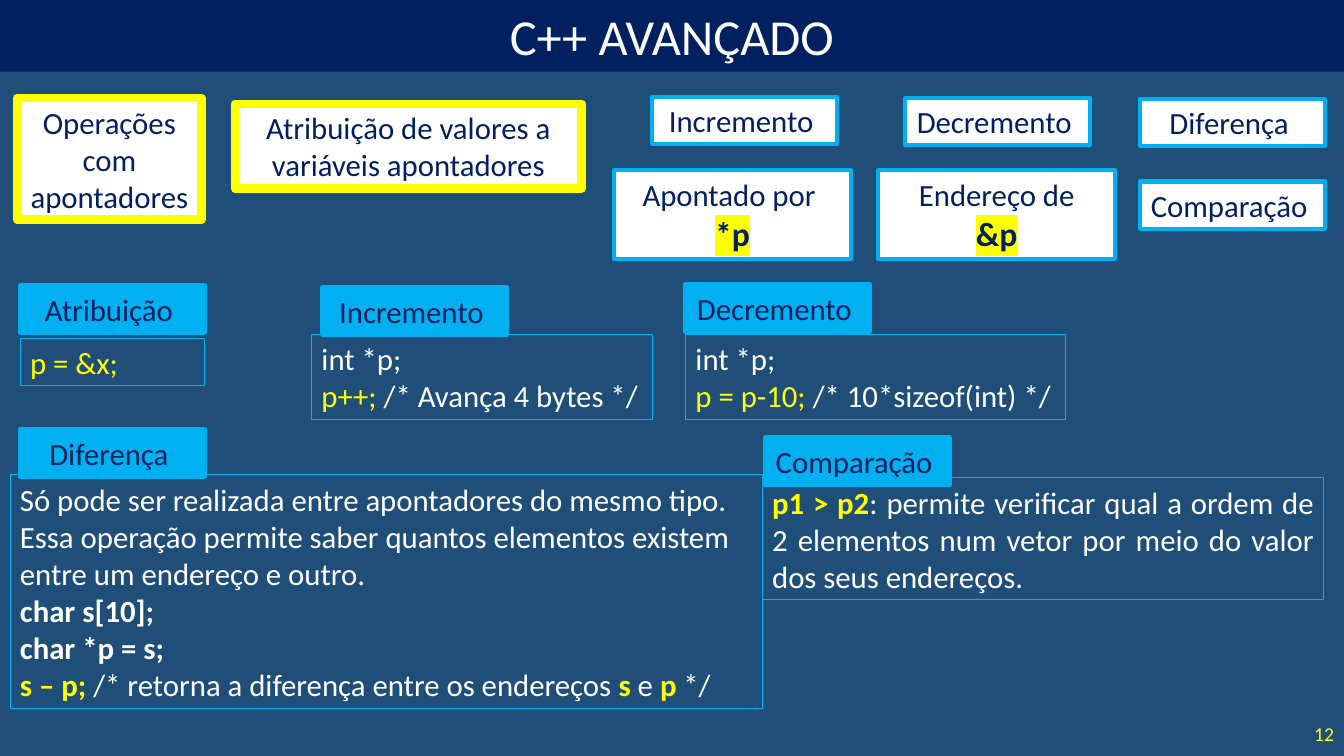
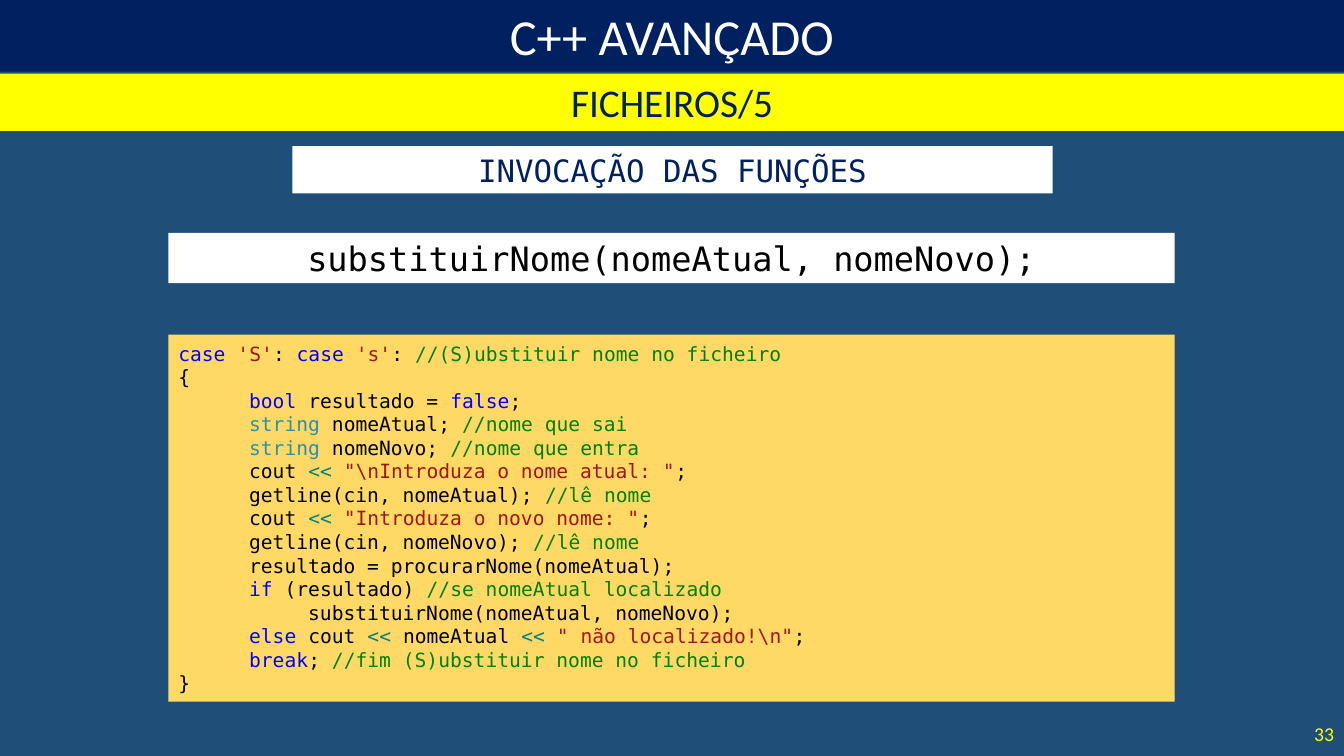
from lxml import etree
from pptx import Presentation
from pptx.dml.color import RGBColor
from pptx.enum import shapes, text
from pptx.oxml import ns
from pptx.util import Inches, Pt

# Shared colours, fonts and sizes
BACKGROUND = RGBColor(0x1F, 0x4E, 0x79)
NAVY = RGBColor(0x00, 0x20, 0x60)
YELLOW = RGBColor(0xFF, 0xFF, 0x00)
CYAN = RGBColor(0x00, 0xB0, 0xF0)
WHITE = RGBColor(0xFF, 0xFF, 0xFF)
BLACK = RGBColor(0x00, 0x00, 0x00)
SAND = RGBColor(0xFF, 0xD9, 0x66)
KEYWORD = RGBColor(0x00, 0x00, 0xFF)
STRING = RGBColor(0xA3, 0x15, 0x15)
COMMENT = RGBColor(0x00, 0x80, 0x00)
TYPE = RGBColor(0x2B, 0x91, 0xAF)
OPERATOR = RGBColor(0x00, 0x80, 0x80)

SANS, MONO = "Calibri", "DejaVu Sans Mono"
WIDTH, HEIGHT = 13.33, 7.5
BODY_SIZE, CODE_SIZE = 22, 14
CODE_CHARACTER = 0.602 * CODE_SIZE / 72  # width of one monospaced character
LEFT, CENTER, RIGHT, JUSTIFY = (text.PP_ALIGN.LEFT, text.PP_ALIGN.CENTER,
                                text.PP_ALIGN.RIGHT, text.PP_ALIGN.JUSTIFY)

COURSE = "C++ AVANÇADO"
LABEL_WIDTH, LABEL_HEIGHT = 1.83, 0.47

# Pointer slide: (text, left, top, width, height)
TOPICS = [
    ("Operações com apontadores", 0.17, 0.97, 1.83, 1.21),
    ("Atribuição de valores a variáveis apontadores", 2.33, 1.03, 3.44, 0.84),
]
# (text, left, top)
OPERATIONS = [
    ("Incremento ", 6.47, 0.96),
    ("Decremento ", 8.98, 0.97),
    ("Diferença ", 11.31, 0.98),
    ("Comparação ", 11.31, 1.8),
]
# (text, symbol, left)
SYMBOLS = [("Apontado por ", "*p", 6.09), ("Endereço de", "&p", 8.71)]

# (heading, heading position, body box, alignment, paragraphs of (text, colour, bold))
EXAMPLES = [
    ("Atribuição ", (0.2, 2.83), (0.2, 3.36, 1.83, 0.47), LEFT,
     [[("p = &x;", YELLOW, False)]]),
    ("Incremento ", (3.2, 2.85), (3.09, 3.32, 3.38, 0.84), LEFT,
     [[("int *p;", WHITE, False)],
      [("p++;", YELLOW, False), (" /* Avança 4 bytes */", WHITE, False)]]),
    ("Decremento ", (6.8, 2.82), (6.8, 3.32, 3.77, 0.84), LEFT,
     [[("int *p;", WHITE, False)],
      [("p = p-10;", YELLOW, False), (" /* 10*sizeof(int) */", WHITE, False)]]),
    ("Diferença ", (0.2, 4.26), (0.1, 4.71, 7.46, 2.32), JUSTIFY,
     [[("Só pode ser realizada entre apontadores do mesmo tipo. ", WHITE, False)],
      [("Essa operação permite saber quantos elementos existem ", WHITE, False)],
      [("entre um endereço e outro.", WHITE, False)],
      [("char s[10];", WHITE, True)],
      [("char *p = s;", WHITE, True)],
      [("s – p;", YELLOW, True),
       (" /* retorna a diferença entre os endereços ", WHITE, False),
       ("s", YELLOW, True), (" e ", WHITE, False),
       ("p", YELLOW, True), (" */", WHITE, False)]]),
    ("Comparação ", (7.59, 4.34), (7.56, 4.74, 5.57, 1.21), JUSTIFY,
     [[("p1 > p2", YELLOW, True),
       (": permite verificar qual a ordem de 2 elementos num vetor por meio "
        "do valor dos seus endereços.", WHITE, False)]]),
]

# File slide: (text, fill, box, size, font, colour)
FILE_BANDS = [
    ("FICHEIROS/5", YELLOW, (0, 0.73, WIDTH, 0.57), 28, SANS, NAVY),
    ("INVOCAÇÃO DAS FUNÇÕES", WHITE, (2.9, 1.45, 7.54, 0.47), 22, MONO, NAVY),
    ("substituirNome(nomeAtual, nomeNovo);", WHITE, (1.67, 2.31, 9.98, 0.5),
     24, MONO, BLACK),
]
CODE_BOX = (1.67, 3.32, 9.98, 3.64)
# (indent in characters, tokens of (text, colour))
CODE = [
    (0, [("case ", KEYWORD), ("'S'", STRING), (": ", BLACK), ("case ", KEYWORD),
         ("'s'", STRING), (": ", BLACK),
         ("//(S)ubstituir nome no ficheiro", COMMENT)]),
    (0, [("{", BLACK)]),
    (6, [("bool", KEYWORD), (" resultado = ", BLACK), ("false", KEYWORD),
         (";", BLACK)]),
    (6, [("string ", TYPE), ("nomeAtual; ", BLACK), ("//nome que sai", COMMENT)]),
    (6, [("string ", TYPE), ("nomeNovo; ", BLACK), ("//nome que entra", COMMENT)]),
    (6, [("cout ", BLACK), ("<< ", OPERATOR),
         ('"\\nIntroduza o nome atual: "', STRING), (";", BLACK)]),
    (6, [("getline(cin, nomeAtual); ", BLACK), ("//lê nome", COMMENT)]),
    (6, [("cout ", BLACK), ("<< ", OPERATOR),
         ('"Introduza o novo nome: "', STRING), (";", BLACK)]),
    (6, [("getline(cin, nomeNovo); ", BLACK), ("//lê nome", COMMENT)]),
    (6, [("resultado = procurarNome(nomeAtual);", BLACK)]),
    (6, [("if", KEYWORD), (" (resultado) ", BLACK),
         ("//se nomeAtual localizado", COMMENT)]),
    (11, [("substituirNome(nomeAtual, nomeNovo);", BLACK)]),
    (6, [("else ", KEYWORD), ("cout ", BLACK), ("<< ", OPERATOR),
         ("nomeAtual ", BLACK), ("<< ", OPERATOR),
         ('" não localizado!\\n"', STRING), (";", BLACK)]),
    (6, [("break", KEYWORD), ("; ", BLACK),
         ("//fim (S)ubstituir nome no ficheiro", COMMENT)]),
    (0, [("}", BLACK)]),
]


def add_box(slide, box, fill=None, line=None, line_width=0.75):
    """Add a rectangle with optional fill and outline; return it."""
    shape = slide.shapes.add_shape(shapes.MSO_SHAPE.RECTANGLE,
                                   *(Inches(length) for length in box))
    shape.shadow.inherit = False
    if fill is None:
        shape.fill.background()
    else:
        shape.fill.solid()
        shape.fill.fore_color.rgb = fill
    if line is None:
        shape.line.fill.background()
    else:
        shape.line.color.rgb = line
        shape.line.width = Pt(line_width)
    shape.text_frame.word_wrap = True
    return shape


def add_paragraph(shape, align=CENTER):
    """Return the first paragraph while it is empty, else a new one."""
    paragraph = shape.text_frame.paragraphs[0]
    if paragraph.runs:
        paragraph = shape.text_frame.add_paragraph()
    paragraph.alignment = align
    return paragraph


def add_run(paragraph, words, color=NAVY, size=BODY_SIZE, font=SANS, bold=False):
    run = paragraph.add_run()
    run.text = words
    run.font.size = Pt(size)
    run.font.bold = bold
    run.font.name = font
    run.font.color.rgb = color
    return run


def highlight(run, color):
    """Mark the run; the highlight must directly follow its text fill."""
    mark = etree.Element(ns.qn("a:highlight"))
    etree.SubElement(mark, ns.qn("a:srgbClr"), val=str(color))
    run.font._element.find(ns.qn("a:solidFill")).addnext(mark)


def add_label(slide, words, box, fill, line, line_width):
    shape = add_box(slide, box, fill, line, line_width)
    add_run(add_paragraph(shape), words)
    return shape


def add_course_slide(presentation, number):
    """Add a slide with the title band and page number."""
    slide = presentation.slides.add_slide(presentation.slide_layouts[6])
    page = add_box(slide, (12.1, 7.08, 1.23, 0.4))
    add_run(add_paragraph(page, RIGHT), number, YELLOW, 14)
    band = add_box(slide, (0, 0, WIDTH, 0.71), NAVY)
    add_run(add_paragraph(band), COURSE, WHITE, 36)
    return slide


def build_pointers(presentation):
    slide = add_course_slide(presentation, "12")

    # Topics and operations
    for words, *box in TOPICS:
        add_label(slide, words, box, WHITE, YELLOW, 6)
    for words, left, top in OPERATIONS:
        add_label(slide, words, (left, top, LABEL_WIDTH, LABEL_HEIGHT),
                  WHITE, CYAN, 3)
    for words, symbol, left in SYMBOLS:
        shape = add_label(slide, words, (left, 1.69, 2.35, 0.88), WHITE, CYAN, 3)
        run = add_run(add_paragraph(shape), symbol, size=24, bold=True)
        highlight(run, YELLOW)

    # Examples under their headings
    for heading, position, box, align, paragraphs in EXAMPLES:
        add_label(slide, heading, (*position, LABEL_WIDTH, LABEL_HEIGHT),
                  CYAN, CYAN, 3)
        body = add_box(slide, box, line=CYAN)
        for runs in paragraphs:
            paragraph = add_paragraph(body, align)
            for words, color, bold in runs:
                add_run(paragraph, words, color, bold=bold)


def build_files(presentation):
    slide = add_course_slide(presentation, "33")

    # Heading bands
    for words, fill, box, size, font, color in FILE_BANDS:
        add_run(add_paragraph(add_box(slide, box, fill)), words, color, size, font)

    # Code listing
    listing = add_box(slide, CODE_BOX, SAND)
    for indent, tokens in CODE:
        paragraph = add_paragraph(listing, LEFT)
        margin = Inches(indent * CODE_CHARACTER)
        paragraph._p.get_or_add_pPr().set("marL", str(margin))
        for words, color in tokens:
            add_run(paragraph, words, color, CODE_SIZE, MONO)


def main():
    presentation = Presentation()
    presentation.slide_width = Inches(WIDTH)
    presentation.slide_height = Inches(HEIGHT)
    background = presentation.slide_master.background.fill
    background.solid()
    background.fore_color.rgb = BACKGROUND
    build_pointers(presentation)
    build_files(presentation)
    presentation.save("out.pptx")


if __name__ == "__main__":
    main()
